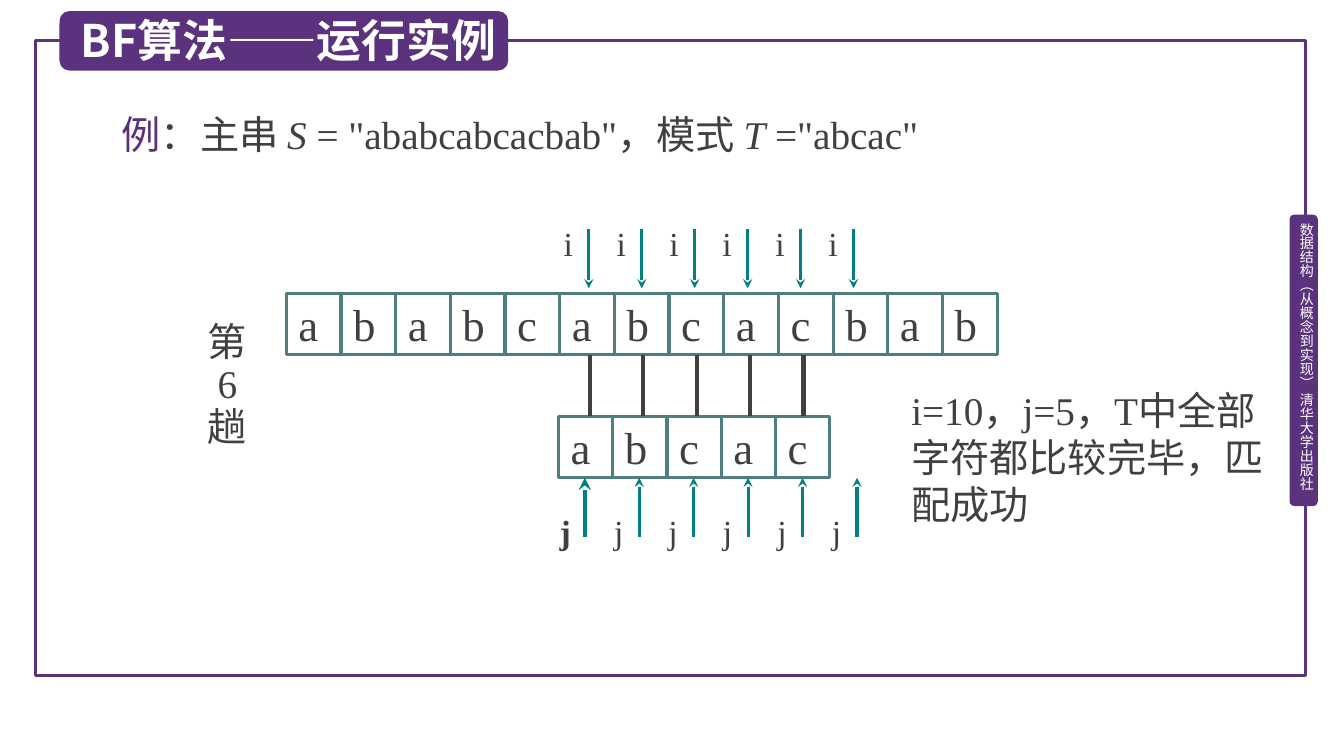
from pptx import Presentation
from pptx import util as u
from pptx.dml.color import RGBColor
from pptx.enum import shapes, text
from pptx.oxml.ns import qn
from lxml import etree

PURPLE, WHITE, GREY = "5A327D", "FFFFFF", "404040"
CELL_LINE, ARROW = "507D7D", "008080"
SANS, SERIF = "Noto Sans CJK SC", "Times New Roman"


def color(value):
    """Turn a hex string into a colour."""
    return RGBColor.from_string(value)


def style(run, size, font=SERIF, fill=GREY, bold=False, italic=False):
    """Format one run, with the sans font for Chinese letters."""
    run.font.size, run.font.name = u.Pt(size), font
    run.font.bold, run.font.italic = bold, italic
    run.font.color.rgb = color(fill)
    east_asian = etree.SubElement(run.font._element, qn("a:ea"))
    east_asian.set("typeface", SANS)


def set_margins(frame, left, top, right, bottom):
    """Set the four insets of a text frame in inches."""
    frame.margin_left, frame.margin_top = u.Inches(left), u.Inches(top)
    frame.margin_right, frame.margin_bottom = u.Inches(right), u.Inches(bottom)


def add_box(slide, kind, box, fill=None, line=None):
    """Add a preset shape with a plain fill or a plain outline."""
    shape = slide.shapes.add_shape(kind, *map(u.Inches, box))
    shape.shadow.inherit = False
    if fill:
        shape.fill.solid()
        shape.fill.fore_color.rgb = color(fill)
    else:
        shape.fill.background()
    if line:
        shape.line.color.rgb = color(line)
        shape.line.width = u.Pt(2.25)
    else:
        shape.line.fill.background()
    return shape


def add_label(slide, box, words, size, **look):
    """Add a wrapping text box and format all its runs."""
    label = slide.shapes.add_textbox(*map(u.Inches, box))
    frame = label.text_frame
    frame.word_wrap = True
    frame.text = words
    for paragraph in frame.paragraphs:
        for run in paragraph.runs:
            style(run, size, **look)
    return label


def add_line(slide, x, start, end, stroke, width=2.25, arrow=False):
    """Draw a vertical line, with an arrowhead at its end if asked."""
    connector = slide.shapes.add_connector(
        shapes.MSO_CONNECTOR.STRAIGHT, *map(u.Inches, (x, start, x, end)))
    connector.line.color.rgb = color(stroke)
    connector.line.width = u.Pt(width)
    if arrow:
        head = etree.SubElement(connector.line._get_or_add_ln(), qn("a:tailEnd"))
        head.set("type", "stealth")
    etree.SubElement(connector.element.spPr, qn("a:effectLst"))


def add_frame(slide, box):
    """Draw the page border and the vertical book label on its right side."""
    left, top, width, height = box
    add_box(slide, shapes.MSO_SHAPE.RECTANGLE, box, line=PURPLE)
    tab_left, tab_top = left + width - 0.16, top + 1.73
    add_box(slide, shapes.MSO_SHAPE.ROUNDED_RECTANGLE,
            (tab_left, tab_top, 0.28, 2.89), fill=PURPLE)
    label = add_label(slide, (tab_left + 0.08, tab_top + 0.08, 0.17, 2.81),
                      "数据结构（从概念到实现） 清华大学出版社", 10,
                      font=SANS, fill=WHITE)
    set_margins(label.text_frame, 0, 0, 0, 0)
    label.element.txBody.bodyPr.set("vert", "eaVert")


def add_title(slide, box):
    """Draw the title bar and put the title placeholder on it."""
    left, top, width, height = box
    add_box(slide, shapes.MSO_SHAPE.ROUNDED_RECTANGLE, box, fill=PURPLE)
    title = slide.shapes.title
    title.element.getparent().append(title.element)
    title.left, title.top = u.Inches(left + 0.11), u.Inches(top - 0.04)
    title.width, title.height = u.Inches(4.6), u.Inches(0.64)
    frame = title.text_frame
    frame.text = "BF算法——运行实例"
    frame.auto_size = text.MSO_AUTO_SIZE.NONE
    frame.vertical_anchor = text.MSO_ANCHOR.MIDDLE
    frame.paragraphs[0].alignment = text.PP_ALIGN.LEFT
    style(frame.paragraphs[0].runs[0], 32, font=SANS, fill=WHITE, bold=True)


def add_example(slide, box):
    """State the main string and the pattern."""
    label = add_label(slide, box, "例", 28, fill="5C307D")
    parts = [("：主串 ", False), ("S", True), (' = "ababcabcacbab"，模式 ', False),
             ("T", True), (' ="abcac"', False)]
    for words, italic in parts:
        run = label.text_frame.paragraphs[0].add_run()
        run.text = words
        style(run, 28, italic=italic)


def add_string_row(slide, box, letters):
    """Draw a string as a row of equal cells, one letter in each."""
    left, top, width, height = box
    pitch = width / len(letters)
    row = add_box(slide, shapes.MSO_SHAPE.RECTANGLE, box, line=CELL_LINE)
    frame = row.text_frame
    set_margins(frame, 0.12, 0, 0.02, 0)
    frame.vertical_anchor = text.MSO_ANCHOR.MIDDLE
    frame.text = "\t".join(letters)
    paragraph = frame.paragraphs[0]
    paragraph.alignment = text.PP_ALIGN.LEFT
    stops = etree.SubElement(paragraph._p.get_or_add_pPr(), qn("a:tabLst"))
    for index in range(1, len(letters)):
        stop = etree.SubElement(stops, qn("a:tab"))
        stop.set("pos", str(u.Inches(index * pitch)))
        stop.set("algn", "l")
        add_line(slide, left + index * pitch, top, top + height, CELL_LINE)
    for run in paragraph.runs:
        style(run, 32)


def add_pointers(slide, name, first_x, pitch, start, end, label_top, strong_first=False):
    """Draw the six successive places of an index as labelled arrows."""
    for step in range(6):
        x = first_x + step * pitch
        strong = strong_first and step == 0
        add_line(slide, x, start, end, ARROW, 3 if strong else 2.25, arrow=True)
        label = add_label(slide, (x - 0.25, label_top, 0.25, 0.5), name, 24, bold=strong)
        set_margins(label.text_frame, 0, 0.05, 0, 0.05)


def add_matching(slide, box):
    """Draw both strings, the matching pairs and the moves of i and j."""
    left, top, width, height = box
    pattern_left, pattern_top = left + 2.7, top + 1.22
    add_string_row(slide, box, "ababcabcacbab")
    add_string_row(slide, (pattern_left, pattern_top, 2.69, height), "abcac")
    for pair in range(5):
        add_line(slide, left + 3.01 + pair * 0.53, top + height, pattern_top, GREY, 3)
    add_pointers(slide, "i", left + 3, 0.525, top - 0.64, top - 0.05, top - 0.75)
    pattern_bottom = pattern_top + height
    add_pointers(slide, "j", pattern_left + 0.26, 0.54, pattern_bottom + 0.59,
                 pattern_bottom, pattern_bottom + 0.28, strong_first=True)


def add_round(slide, box):
    """Name the round in a narrow column."""
    label = add_label(slide, box, "第\n6\n趟", 28)
    for paragraph in label.text_frame.paragraphs:
        paragraph.alignment = text.PP_ALIGN.CENTER
        paragraph.line_spacing = 0.9


def main():
    """Build and save the slide."""
    presentation = Presentation()
    presentation.slide_width = u.Inches(13.33)
    presentation.slide_height = u.Inches(7.5)
    slide = presentation.slides.add_slide(presentation.slide_layouts[5])
    add_frame(slide, (0.35, 0.4, 12.6, 6.3))
    add_title(slide, (0.59, 0.11, 4.45, 0.59))
    add_example(slide, (1.11, 1.05, 8.92, 0.57))
    add_matching(slide, (2.84, 2.91, 7.05, 0.61))
    add_round(slide, (1.96, 3.15, 0.59, 1.36))
    add_label(slide, (8.94, 3.78, 3.7, 1.5),
              "i=10，j=5，T中全部字符都比较完毕，匹配成功", 28)
    presentation.save("out.pptx")


if __name__ == "__main__":
    main()
